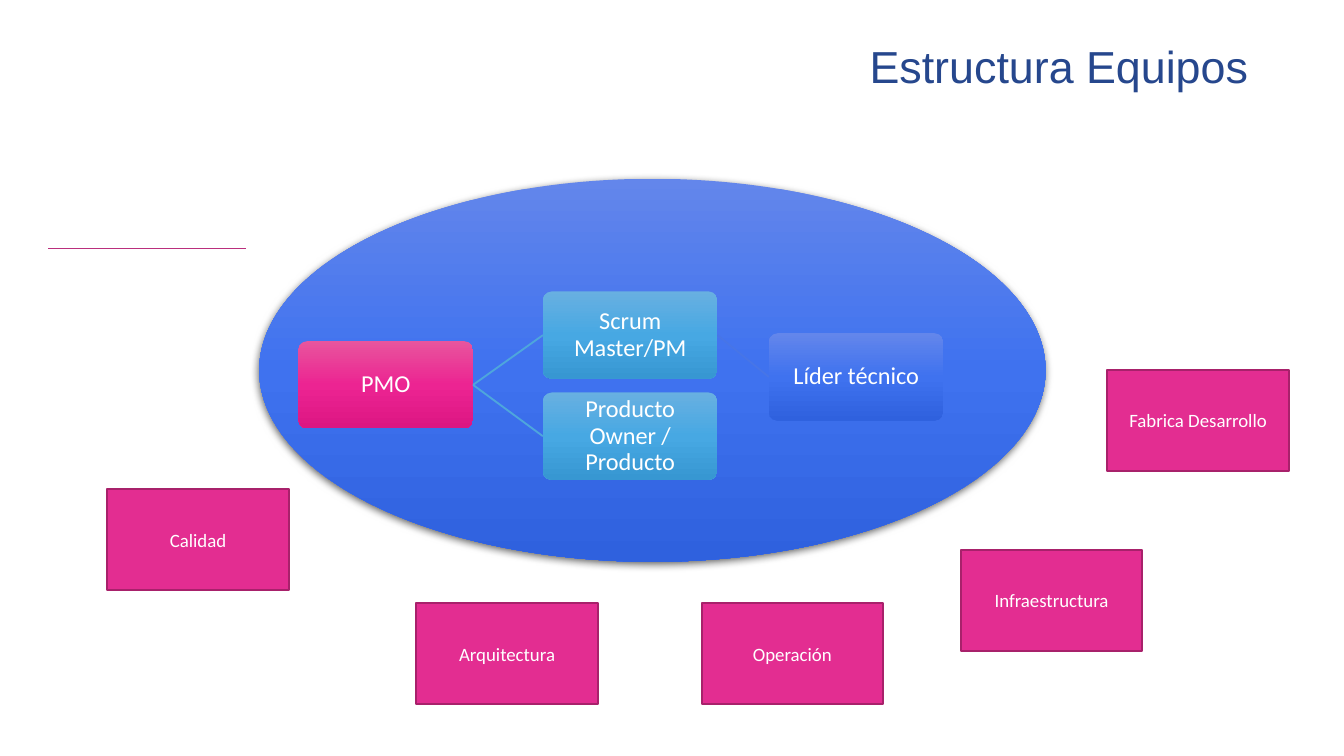
from copy import deepcopy

from lxml.etree import SubElement
from pptx import Presentation
from pptx.dml.color import RGBColor
from pptx.enum.shapes import MSO_CONNECTOR, MSO_SHAPE
from pptx.enum.text import MSO_ANCHOR, PP_ALIGN
from pptx.oxml.ns import qn
from pptx.util import Cm, Pt

WHITE = RGBColor(0xFF, 0xFF, 0xFF)
NAVY = RGBColor(0x26, 0x47, 0x8D)
MAGENTA = RGBColor(0xE3, 0x2D, 0x91)
DARK_MAGENTA = RGBColor(0xA8, 0x21, 0x6B)
RULE_PINK = RGBColor(0xBA, 0x2F, 0x7D)
LINK_SKY = RGBColor(0x4E, 0xA6, 0xDC)
LINK_BLUE = RGBColor(0x47, 0x75, 0xE7)
BLUE_SHADES = (RGBColor(0x63, 0x86, 0xEB), RGBColor(0x3F, 0x72, 0xEF), RGBColor(0x2F, 0x61, 0xDE))
PINK_SHADES = (RGBColor(0xE8, 0x55, 0x9D), RGBColor(0xEC, 0x24, 0x92), RGBColor(0xDC, 0x16, 0x83))
SKY_SHADES = (RGBColor(0x68, 0xB0, 0xE1), RGBColor(0x47, 0xA8, 0xE3), RGBColor(0x37, 0x97, 0xD2))

ROLE_SIZE = (3.3, 1.65)
TEAM_SIZE = (3.43, 1.91)

ROLES = {
    "PMO": (5.64, 6.45, PINK_SHADES),
    "Scrum Master/PM": (10.26, 5.51, SKY_SHADES),
    "Producto Owner / Producto": (10.26, 7.42, SKY_SHADES),
    "Líder técnico": (14.53, 6.3, BLUE_SHADES),
}
LINKS = [
    ("PMO", "Scrum Master/PM", LINK_SKY),
    ("Scrum Master/PM", "Líder técnico", LINK_BLUE),
    ("PMO", "Producto Owner / Producto", LINK_SKY),
]
TEAMS = [
    ("Arquitectura", 7.87, 11.4),
    ("Operación", 13.26, 11.4),
    ("Infraestructura", 18.16, 10.39),
    ("Calidad", 2.03, 9.25),
    ("Fabrica Desarrollo", 20.93, 6.99),
]


def add_title(slide, text):
    title = slide.shapes.title
    title.left, title.top, title.width, title.height = Cm(16.18), Cm(0.71), Cm(8.18), Cm(1.17)
    title.text_frame.text = text
    title.text_frame.vertical_anchor = MSO_ANCHOR.MIDDLE
    paragraph = title.text_frame.paragraphs[0]
    paragraph.alignment = PP_ALIGN.LEFT
    paragraph.line_spacing = 0.9
    paragraph.font.name = "Arial"
    paragraph.font.size = Pt(24)
    paragraph.font.color.rgb = NAVY


def add_flat_shape(slide, preset, left, top, width, height):
    shape = slide.shapes.add_shape(preset, Cm(left), Cm(top), Cm(width), Cm(height))
    shape.shadow.inherit = False
    return shape


def shade_downwards(shape, shades):
    """Fill with three evenly spaced colours from top to bottom."""
    shape.fill.gradient()
    shape.fill.gradient_angle = 270
    stop_list = shape._element.spPr.find(qn("a:gradFill")).find(qn("a:gsLst"))
    stop_list.insert(1, deepcopy(stop_list[0]))
    for index, (stop, shade) in enumerate(zip(shape.fill.gradient_stops, shades)):
        stop.position = index / 2
        stop.color.rgb = shade
    shape.line.fill.background()


def cast_shadow(shape):
    effects = shape._element.spPr.find(qn("a:effectLst"))
    shadow = SubElement(effects, qn("a:outerShdw"), blurRad=str(Pt(4.5)),
                        dist=str(Pt(1.5)), dir="5400000", rotWithShape="0")
    black = SubElement(shadow, qn("a:srgbClr"), val="000000")
    SubElement(black, qn("a:alpha"), val="63000")


def write_label(shape, text, size):
    frame = shape.text_frame
    frame.word_wrap = True
    frame.vertical_anchor = MSO_ANCHOR.MIDDLE
    frame.text = text
    paragraph = frame.paragraphs[0]
    paragraph.alignment = PP_ALIGN.CENTER
    paragraph.font.name = "Calibri"
    paragraph.font.size = Pt(size)
    paragraph.font.color.rgb = WHITE


def add_core_ellipse(slide):
    core = add_flat_shape(slide, MSO_SHAPE.OVAL, 4.9, 3.38, 14.86, 7.24)
    shade_downwards(core, BLUE_SHADES)
    cast_shadow(core)


def add_role(slide, name, left, top, shades):
    role = add_flat_shape(slide, MSO_SHAPE.ROUNDED_RECTANGLE, left, top, *ROLE_SIZE)
    role.adjustments[0] = 0.1
    shade_downwards(role, shades)
    write_label(role, name, 13)
    frame = role.text_frame
    frame.margin_left = frame.margin_right = Cm(0.08)
    frame.margin_top = frame.margin_bottom = Cm(0.08)
    frame.paragraphs[0].line_spacing = 0.9
    return role


def add_team(slide, name, left, top):
    team = add_flat_shape(slide, MSO_SHAPE.RECTANGLE, left, top, *TEAM_SIZE)
    team.fill.solid()
    team.fill.fore_color.rgb = MAGENTA
    team.line.color.rgb = DARK_MAGENTA
    team.line.width = Pt(1)
    write_label(team, name, 10.1)


def add_line(slide, start, end, color, width):
    line = slide.shapes.add_connector(MSO_CONNECTOR.STRAIGHT, *start, *end)
    line.line.color.rgb = color
    line.line.width = Pt(width)
    SubElement(line._element.spPr, qn("a:effectLst"))
    return line


def link_roles(slide, source, target, color):
    """Join the right side of source to the left side of target."""
    start = (source.left + source.width, source.top + source.height // 2)
    end = (target.left, target.top + target.height // 2)
    link = add_line(slide, start, end, color, 1)
    link.begin_connect(source, 3)
    link.end_connect(target, 1)


def main():
    presentation = Presentation()
    presentation.slide_width = Cm(25.4)
    presentation.slide_height = Cm(14.29)
    slide = presentation.slides.add_slide(presentation.slide_layouts[5])

    add_line(slide, (Cm(0.91), Cm(4.7)), (Cm(4.65), Cm(4.7)), RULE_PINK, 0.25)
    add_core_ellipse(slide)
    add_title(slide, "Estructura Equipos")
    roles = {name: add_role(slide, name, *place) for name, place in ROLES.items()}
    for source, target, color in LINKS:
        link_roles(slide, roles[source], roles[target], color)
    for team in TEAMS:
        add_team(slide, *team)

    presentation.save("out.pptx")


if __name__ == "__main__":
    main()
